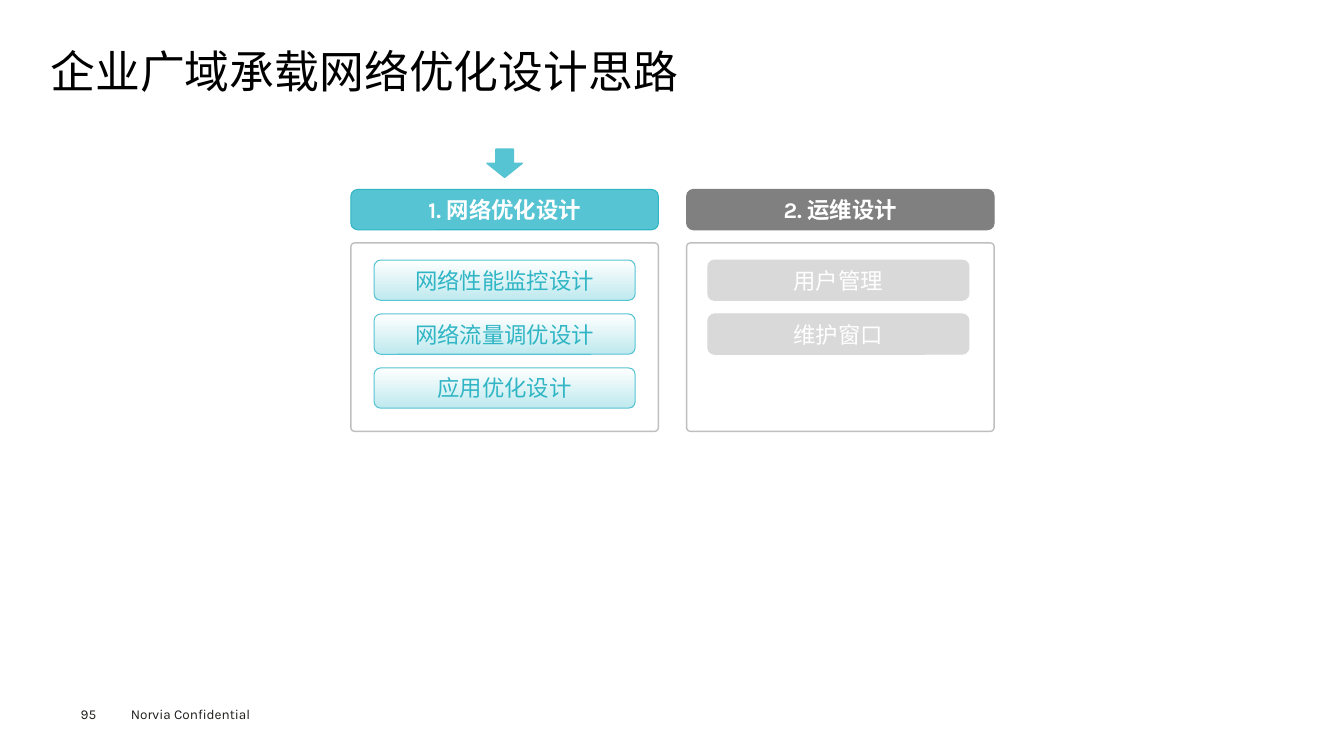
from dataclasses import dataclass

from pptx import Presentation
from pptx.dml.color import RGBColor as Rgb
from pptx.enum.shapes import MSO_SHAPE as Shape
from pptx.enum.text import MSO_ANCHOR as Anchor, MSO_AUTO_SIZE as AutoSize, PP_ALIGN as Align
from pptx.util import Inches, Pt


@dataclass(frozen=True)
class Theme:
    font: str = "Karla"
    title_size: float = 32
    label_size: float = 16
    footer_size: float = 9.7
    black: str = "000000"
    footer: str = "1D1D1B"
    white: str = "FFFFFF"
    teal: str = "56C4D2"
    deep_teal: str = "30B5C5"
    pale_teal: str = "BEE9EE"
    grey: str = "808080"
    frame: str = "BFBFBF"
    pale_grey: str = "D9D9D9"


THEME = Theme()

# Grid of the two topic columns, in inches
GRID_LEFT, COLUMN_STEP, COLUMN_WIDTH = 3.48, 3.33, 3.05
HEADER_TOP, BAR_HEIGHT = 1.88, 0.4
FRAME_TOP, FRAME_HEIGHT = 2.41, 1.87
ITEM_TOP, ITEM_STEP, ITEM_WIDTH = 2.58, 0.535, 2.59
ARROW_TOP, ARROW_WIDTH, ARROW_HEIGHT = 1.48, 0.35, 0.28


def column_left(column):
    return GRID_LEFT + column * COLUMN_STEP


def write(part, text, *, size, color, bold=False, align=Align.LEFT,
          anchor=Anchor.TOP, spacing=None):
    """Put one formatted line of text into a shape or text box."""
    frame = part.text_frame
    frame.word_wrap = True
    frame.vertical_anchor = anchor
    line = frame.paragraphs[0]
    line.alignment = align
    if spacing:
        line.line_spacing = spacing
    run = line.add_run()
    run.text = text
    run.font.name = THEME.font
    run.font.size = Pt(size)
    run.font.bold = bold
    run.font.color.rgb = Rgb.from_string(color)


def add_text(slide, place, text, *, inset=True, grow=False, **look):
    box = slide.shapes.add_textbox(*map(Inches, place))
    frame = box.text_frame
    if not inset:
        frame.margin_left = frame.margin_right = 0
        frame.margin_top = frame.margin_bottom = 0
    write(box, text, **look)
    frame.auto_size = AutoSize.SHAPE_TO_FIT_TEXT if grow else AutoSize.NONE


def add_block(slide, kind, place, *, fill=(), line, weight=0.75):
    """Draw a shape with no fill, one colour, or a top-to-bottom gradient."""
    block = slide.shapes.add_shape(kind, *map(Inches, place))
    block.shadow.inherit = False
    if not fill:
        block.fill.background()
    elif len(fill) == 1:
        block.fill.solid()
        block.fill.fore_color.rgb = Rgb.from_string(fill[0])
    else:
        block.fill.gradient()
        block.fill.gradient_angle = 270
        for stop, color in zip(block.fill.gradient_stops, fill):
            stop.color.rgb = Rgb.from_string(color)
    block.line.color.rgb = Rgb.from_string(line)
    block.line.width = Pt(weight)
    return block


def add_bar(slide, place, text, *, fill, line, color, bold=False):
    bar = add_block(slide, Shape.ROUNDED_RECTANGLE, place, fill=fill, line=line)
    write(bar, text, size=THEME.label_size, color=color, bold=bold,
          align=Align.CENTER, anchor=Anchor.MIDDLE)


def add_topic(slide, column, heading, items, *, inset, heading_look, item_look):
    left = column_left(column)
    add_bar(slide, (left, HEADER_TOP, COLUMN_WIDTH, BAR_HEIGHT), heading,
            color=THEME.white, bold=True, **heading_look)
    frame = add_block(slide, Shape.ROUNDED_RECTANGLE,
                      (left, FRAME_TOP, COLUMN_WIDTH, FRAME_HEIGHT),
                      line=THEME.frame, weight=1)
    frame.adjustments[0] = 0.02
    for row, item in enumerate(items):
        place = (left + inset, ITEM_TOP + row * ITEM_STEP, ITEM_WIDTH, BAR_HEIGHT)
        add_bar(slide, place, item, **item_look)


def add_marker(slide, column):
    left = column_left(column) + (COLUMN_WIDTH - ARROW_WIDTH) / 2
    add_block(slide, Shape.DOWN_ARROW, (left, ARROW_TOP, ARROW_WIDTH, ARROW_HEIGHT),
              fill=(THEME.teal,), line=THEME.teal, weight=1)


def main():
    deck = Presentation()
    deck.slide_width, deck.slide_height = Inches(13.33), Inches(7.5)
    slide = deck.slides.add_slide(deck.slide_layouts[6])

    # Footer
    footer_look = dict(size=THEME.footer_size, color=THEME.footer, grow=True)
    add_text(slide, (1.2, 6.95, 1.6, 0.27), "Norvia Confidential", **footer_look)
    add_text(slide, (0.8, 7, 0.55, 0.16), "95", inset=False, **footer_look)

    # Title
    add_text(slide, (0.5, 0.49, 12.35, 0.53), "企业广域承载网络优化设计思路",
             inset=False, size=THEME.title_size, color=THEME.black, spacing=0.9)

    # Current topic, marked by the arrow
    add_topic(slide, 0, "1. 网络优化设计",
              ("网络性能监控设计", "网络流量调优设计", "应用优化设计"), inset=0.23,
              heading_look=dict(fill=(THEME.teal,), line=THEME.deep_teal),
              item_look=dict(fill=(THEME.white, THEME.pale_teal), line=THEME.teal,
                             color=THEME.deep_teal))
    add_marker(slide, 0)

    # Greyed-out topic
    add_topic(slide, 1, "2. 运维设计", ("用户管理", "维护窗口"), inset=0.21,
              heading_look=dict(fill=(THEME.grey,), line=THEME.grey),
              item_look=dict(fill=(THEME.pale_grey,), line=THEME.pale_grey,
                             color=THEME.white))

    deck.save("out.pptx")


if __name__ == "__main__":
    main()
